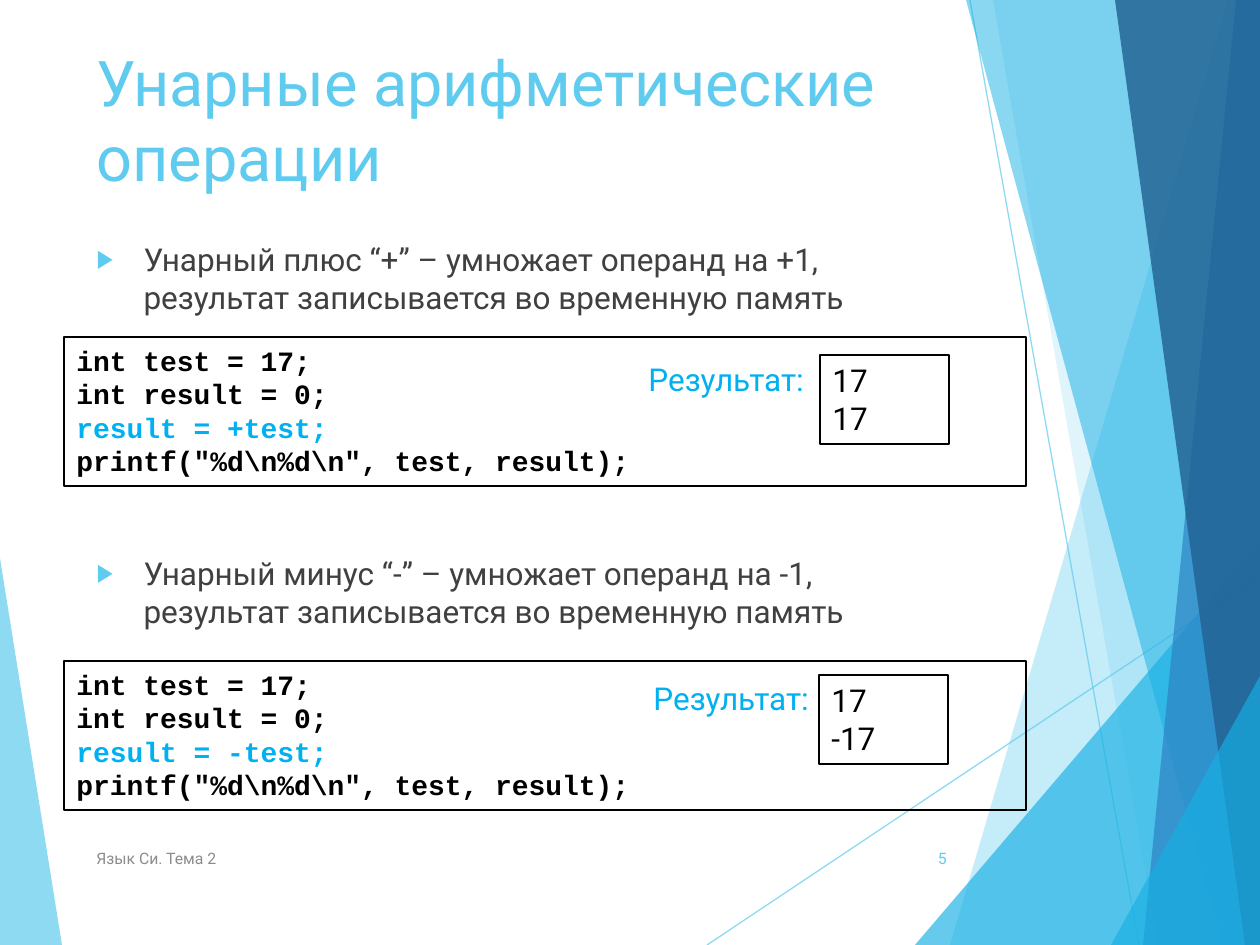
import pptx
import pptx.util
import pptx.dml.color
import pptx.enum.shapes
import pptx.enum.text
import pptx.oxml
import pptx.oxml.ns
import lxml.etree
from dataclasses import dataclass

PX = 914400 / 126
qn = pptx.oxml.ns.qn
ANCHOR = pptx.enum.text.MSO_ANCHOR
ALIGN = pptx.enum.text.PP_ALIGN
AUTO = pptx.enum.text.MSO_AUTO_SIZE


@dataclass
class Theme:
    sky: str = "5FCBEF"
    azure: str = "17B0E4"
    blue: str = "2E83C3"
    navy: str = "226292"
    accent: str = "00B0F0"
    black: str = "000000"
    body: str = "404040"
    muted: str = "8C8C8C"
    font: str = "Roboto"
    mono: str = "Courier New"
    title_size: int = 36
    text_size: int = 18
    code_size: int = 16
    small_size: int = 9


theme = Theme()
rgb = pptx.dml.color.RGBColor.from_string


def put(tf, text, box=None, size=theme.text_size, color=theme.black, font=theme.font,
        bold=False, align=ALIGN.LEFT, anchor=ANCHOR.TOP, grow=False, before=0, add=False):
    tf.word_wrap = True
    tf.auto_size = AUTO.SHAPE_TO_FIT_TEXT if grow else AUTO.NONE
    tf.vertical_anchor = anchor
    p = tf.add_paragraph() if add else tf.paragraphs[0]
    p.alignment = align
    p.space_before = pptx.util.Pt(before)
    r = p.add_run()
    r.text = text
    r.font.size = pptx.util.Pt(size)
    r.font.name = font
    r.font.bold = bold
    r.font.color.rgb = rgb(color)
    return p


def emu(*pixels):
    return [round(v * PX) for v in pixels]


prs = pptx.Presentation()
prs.slide_width, prs.slide_height = emu(1260, 945)
s = prs.slides.add_slide(prs.slide_layouts[1])

left_facet = ([(0, 558), (62, 945), (0, 945)], theme.sky, 70)
right_facets = [
    ([(1228, 0), (950, 945), (1260, 945), (1260, 0)], theme.sky, 36),
    ([(993, 0), (1158, 945), (1260, 945), (1260, 0)], theme.sky, 20),
    ([(915, 945), (1260, 541), (1260, 945)], theme.azure, 66),
    ([(966, 0), (1222, 945), (1260, 945), (1260, 0)], theme.azure, 50),
    ([(1236, 0), (1143, 945), (1260, 945), (1260, 0)], theme.blue, 70),
    ([(1115, 0), (1245, 945), (1260, 945), (1260, 0)], theme.navy, 82),
    ([(1111, 945), (1260, 676), (1260, 945)], theme.azure, 66),
]
rays = [(707, 945, 1260, 576), (970, 0, 1139, 945)]

decor = []
for points, color, opacity in [left_facet] + right_facets:
    fb = s.shapes.build_freeform(*points[0], scale=PX)
    fb.add_line_segments(points[1:], close=True)
    sp = fb.convert_to_shape()
    sp.shadow.inherit = False
    sp.fill.solid()
    sp.fill.fore_color.rgb = rgb(color)
    sp.line.fill.background()
    decor.append((sp, opacity))
    if points is left_facet[0]:
        for ray in rays:
            cx = s.shapes.add_connector(pptx.enum.shapes.MSO_CONNECTOR.STRAIGHT, *emu(*ray))
            cx.line.color.rgb = rgb(theme.sky)
            cx.line.width = pptx.util.Pt(0.75)
            lxml.etree.SubElement(cx.element.spPr, qn("a:effectLst"))
            decor.append((cx, 70))

for sp, opacity in decor:
    for clr in sp.element.spPr.iter(qn("a:srgbClr")):
        lxml.etree.SubElement(clr, qn("a:alpha")).set("val", str(opacity * 1000))

title, body = s.shapes.title, s.placeholders[1]
for ph, box in [(title, (84, 37, 874, 181)), (body, (84, 234, 874, 684))]:
    ph.left, ph.top, ph.width, ph.height = emu(*box)
    s.shapes._spTree.append(ph.element)

put(title.text_frame, "Унарные арифметические операции", size=theme.title_size, color=theme.sky)

bullets = [
    ("Унарный плюс “+” – умножает операнд на +1, результат записывается во временную память", 10),
    ("Унарный минус “-” – умножает операнд на -1, результат записывается во временную память", 136),
]
for i, (text, before) in enumerate(bullets):
    p = put(body.text_frame, text, color=theme.body, before=before, add=i > 0)
    pPr = p._p.get_or_add_pPr()
    indent = emu(47)[0]
    pPr.set("marL", str(indent))
    pPr.set("indent", str(-indent))
    buClr = lxml.etree.SubElement(pPr, qn("a:buClr"))
    lxml.etree.SubElement(buClr, qn("a:srgbClr")).set("val", theme.sky)
    lxml.etree.SubElement(pPr, qn("a:buSzPct")).set("val", "80000")
    lxml.etree.SubElement(pPr, qn("a:buFont")).set("typeface", "Arial")
    lxml.etree.SubElement(pPr, qn("a:buChar")).set("char", "▶")

footers = [
    ("Язык Си. Тема 2", (84, 833, 638, 50), theme.muted, ALIGN.LEFT),
    ("5", (888, 833, 71, 50), theme.sky, ALIGN.RIGHT),
]
for text, box, color, align in footers:
    tb = s.shapes.add_textbox(*emu(*box))
    put(tb.text_frame, text, size=theme.small_size, color=color, align=align, anchor=ANCHOR.MIDDLE)

examples = [
    ("+", "17", (64, 337), (820, 355), (636, 354)),
    ("-", "-17", (64, 661), (819, 675), (641, 673)),
]
for sign, result, code_at, output_at, label_at in examples:
    code = ["int test = 17;", "int result = 0;", f"result = {sign}test;",
            'printf("%d\\n%d\\n", test, result);']
    frames = [
        (code, code_at, (962, 149), theme.code_size, theme.mono, True),
        (["17", result], output_at, (129, 89), theme.text_size, theme.font, False),
    ]
    for lines, at, size, pt, font, bold in frames:
        sp = s.shapes.add_shape(pptx.enum.shapes.MSO_SHAPE.RECTANGLE, *emu(*at, *size))
        sp.shadow.inherit = False
        sp.fill.background()
        sp.line.color.rgb = rgb(theme.black)
        sp.line.width = pptx.util.Pt(0.75)
        for i, line in enumerate(lines):
            color = theme.accent if line.startswith("result") else theme.black
            put(sp.text_frame, line, size=pt, color=color, font=font, bold=bold,
                grow=True, add=i > 0)
    tb = s.shapes.add_textbox(*emu(*label_at, 208, 50))
    put(tb.text_frame, "Результат:", color=theme.accent, grow=True)

prs.save("out.pptx")
